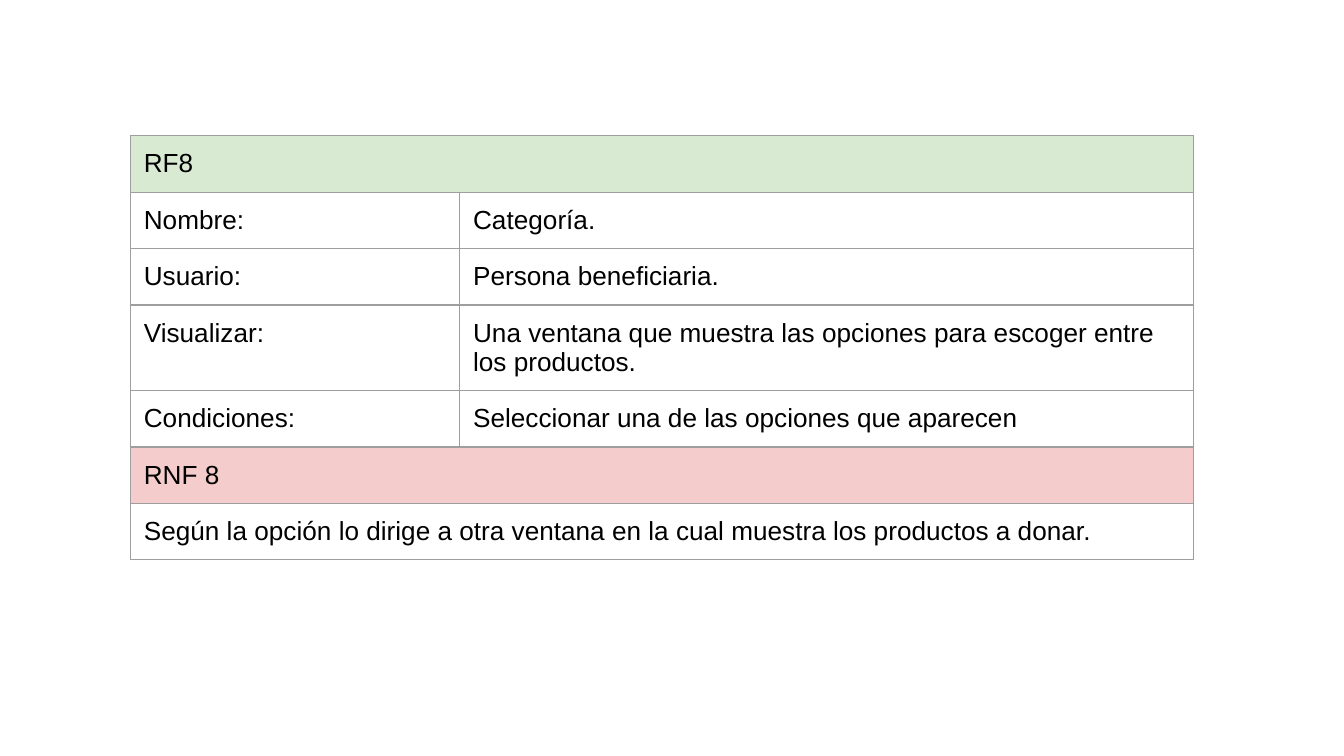
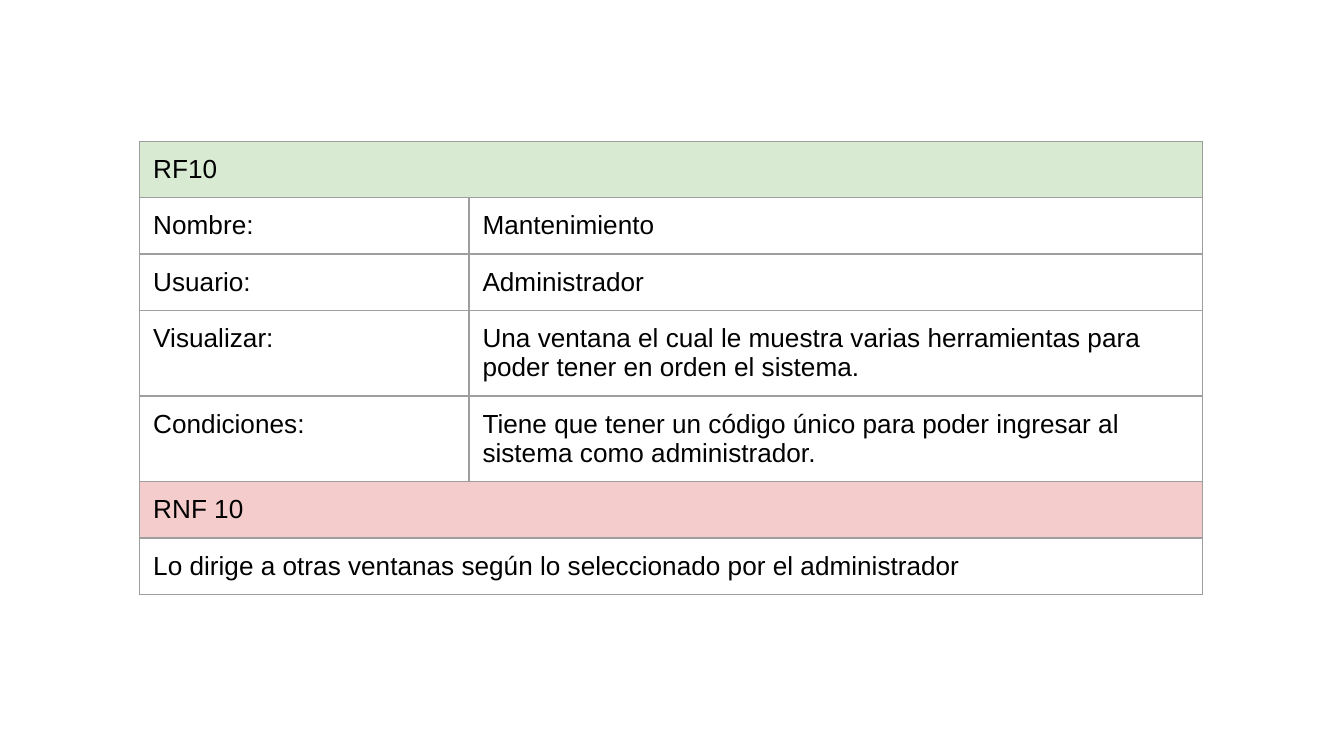
import pptx
import pptx.dml.color
import pptx.oxml.ns
import pptx.util
from lxml import etree

Inches = pptx.util.Inches
Pt = pptx.util.Pt

LABELS = ("Nombre:", "Usuario:", "Visualizar:", "Condiciones:")
REQUIREMENTS = [
    {
        "frame": (0.97, 1.01, 7.92, 3.27),
        "functional": "RF8",
        "details": (
            "Categoría.",
            "Persona beneficiaria.",
            "Una ventana que muestra las opciones para escoger entre los productos.",
            "Seleccionar una de las opciones que aparecen",
        ),
        "nonfunctional": "RNF 8",
        "behaviour": "Según la opción lo dirige a otra ventana en la cual muestra los productos a donar.",
    },
    {
        "frame": (1.04, 1.05, 7.92, 3.5),
        "functional": "RF10",
        "details": (
            "Mantenimiento",
            "Administrador",
            "Una ventana el cual le muestra varias herramientas para poder tener en orden el sistema.",
            "Tiene que tener un código único para poder ingresar al sistema como administrador.",
        ),
        "nonfunctional": "RNF 10",
        "behaviour": "Lo dirige a otras ventanas según lo seleccionado por el administrador",
    },
]

SLIDE_WIDTH = Inches(10)
SLIDE_SIZE = {"slide_width": SLIDE_WIDTH, "slide_height": SLIDE_WIDTH * 9 // 16}
COLORS = {
    "functional": "D9EAD3",
    "nonfunctional": "F4CCCC",
    "border": "9E9E9E",
    "text": "000000",
}
COLUMN_WIDTHS = (2.45, 5.46)
ROW_HEIGHT = 0.42
CELL_MARGINS = {
    f"margin_{side}": Inches(0.1) for side in ("left", "right", "top", "bottom")
}
FONT = {"name": "Arial", "size": Pt(14)}


def rgb(role):
    return pptx.dml.color.RGBColor.from_string(COLORS[role])


def apply(target, values):
    for attribute, value in values.items():
        setattr(target, attribute, value)


def add_borders(cell):
    qn = pptx.oxml.ns.qn
    properties = cell._tc.get_or_add_tcPr()
    for side in ("lnL", "lnR", "lnT", "lnB"):
        line = etree.SubElement(properties, qn(f"a:{side}"), w=str(Pt(0.75)))
        fill = etree.SubElement(line, qn("a:solidFill"))
        etree.SubElement(fill, qn("a:srgbClr"), val=COLORS["border"])


def style_cell(cell, fill_role):
    apply(cell, CELL_MARGINS)
    add_borders(cell)
    if fill_role:
        cell.fill.solid()
        cell.fill.fore_color.rgb = rgb(fill_role)
    else:
        cell.fill.background()


def write(cell, text):
    run = cell.text_frame.paragraphs[0].add_run()
    run.text = text
    apply(run.font, FONT)
    run.font.color.rgb = rgb("text")


def requirement_rows(requirement):
    return [
        ((requirement["functional"],), "functional"),
        *((pair, None) for pair in zip(LABELS, requirement["details"])),
        ((requirement["nonfunctional"],), "nonfunctional"),
        ((requirement["behaviour"],), None),
    ]


def add_requirement(slide, requirement):
    rows = requirement_rows(requirement)
    left, top, width, height = map(Inches, requirement["frame"])
    frame = slide.shapes.add_table(
        len(rows), len(COLUMN_WIDTHS), left, top, width, height
    )
    table = frame.table
    apply(table, {"first_row": False, "horz_banding": False})
    for column, column_width in zip(table.columns, COLUMN_WIDTHS):
        column.width = Inches(column_width)
    for row, (texts, fill_role) in zip(table.rows, rows):
        row.height = Inches(ROW_HEIGHT)
        cells = list(row.cells)
        for cell in cells:
            style_cell(cell, fill_role)
        if len(texts) == 1:
            cells[0].merge(cells[-1])
        for cell, text in zip(cells, texts):
            write(cell, text)
    apply(frame, {"width": width, "height": height})


def main():
    deck = pptx.Presentation()
    apply(deck, SLIDE_SIZE)
    for requirement in REQUIREMENTS:
        add_requirement(deck.slides.add_slide(deck.slide_layouts[6]), requirement)
    deck.save("out.pptx")


if __name__ == "__main__":
    main()
